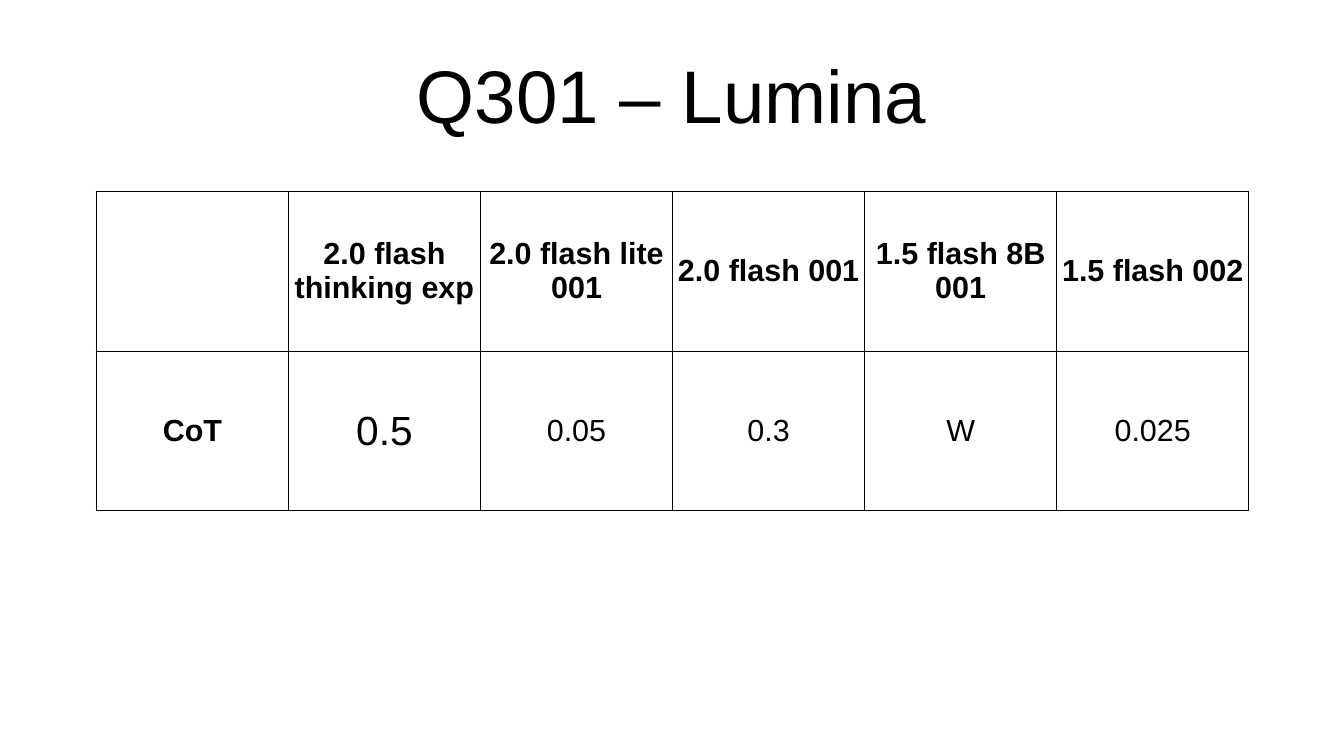
from dataclasses import dataclass

from lxml import etree
from pptx import Presentation
from pptx.dml.color import RGBColor
from pptx.enum.text import MSO_ANCHOR, PP_ALIGN
from pptx.oxml.ns import qn
from pptx.util import Inches, Pt

MIDDLE = MSO_ANCHOR.MIDDLE
CENTER = PP_ALIGN.CENTER


@dataclass(frozen=True)
class Theme:
    font: str = "Arial"
    ink: str = "000000"
    title_size: int = 44
    cell_size: int = 18
    best_size: int = 24
    border_width: float = 0.57


THEME = Theme()
TITLE = "Q301 – Lumina"
RESULTS = [
    ["", "2.0 flash thinking exp", "2.0 flash lite 001", "2.0 flash 001",
     "1.5 flash 8B 001", "1.5 flash 002"],
    ["CoT", "0.5", "0.05", "0.3", "W", "0.025"],
]
BEST_CELL = (1, 1)


def style_paragraph(para, size, bold=False):
    para.alignment = CENTER
    para.font.name = THEME.font
    para.font.size = Pt(size)
    para.font.bold = bold
    para.font.color.rgb = RGBColor.from_string(THEME.ink)


def add_title(page, left, top, width, height):
    box = page.shapes.add_textbox(left, top, width, height)
    frame = box.text_frame
    frame.word_wrap = True
    frame.vertical_anchor = MIDDLE
    frame.margin_left = frame.margin_right = 0
    frame.margin_top = frame.margin_bottom = 0
    para = frame.paragraphs[0]
    para.text = TITLE
    style_paragraph(para, THEME.title_size)


def add_borders(cell):
    properties = cell._tc.get_or_add_tcPr()
    for index, side in enumerate(("lnL", "lnR", "lnT", "lnB")):
        line = etree.Element(qn(f"a:{side}"), w=str(Pt(THEME.border_width)))
        fill = etree.SubElement(line, qn("a:solidFill"))
        etree.SubElement(fill, qn("a:srgbClr"), val=THEME.ink)
        properties.insert(index, line)


def add_results_table(page, left, top, width, height):
    row_count, column_count = len(RESULTS), len(RESULTS[0])
    frame = page.shapes.add_table(row_count, column_count, left, top, width, height)
    table = frame.table
    table.first_row = False
    table.horz_banding = False
    for row, values in enumerate(RESULTS):
        for column, value in enumerate(values):
            cell = table.cell(row, column)
            cell.text = value
            cell.vertical_anchor = MIDDLE
            cell.margin_left = cell.margin_right = Inches(0.04)
            cell.margin_top = cell.margin_bottom = Inches(0.05)
            cell.fill.background()
            add_borders(cell)
            size = THEME.best_size if (row, column) == BEST_CELL else THEME.cell_size
            is_heading = row == 0 or column == 0
            style_paragraph(cell.text_frame.paragraphs[0], size, is_heading)


def main():
    deck = Presentation()
    deck.slide_width = Inches(11.02)
    deck.slide_height = Inches(6.2)
    page = deck.slides.add_slide(deck.slide_layouts[6])
    add_title(page, Inches(0.55), Inches(0.25), Inches(9.92), Inches(1.04))
    add_results_table(page, Inches(0.79), Inches(1.57), Inches(9.45), Inches(2.62))
    deck.save("out.pptx")


if __name__ == "__main__":
    main()
